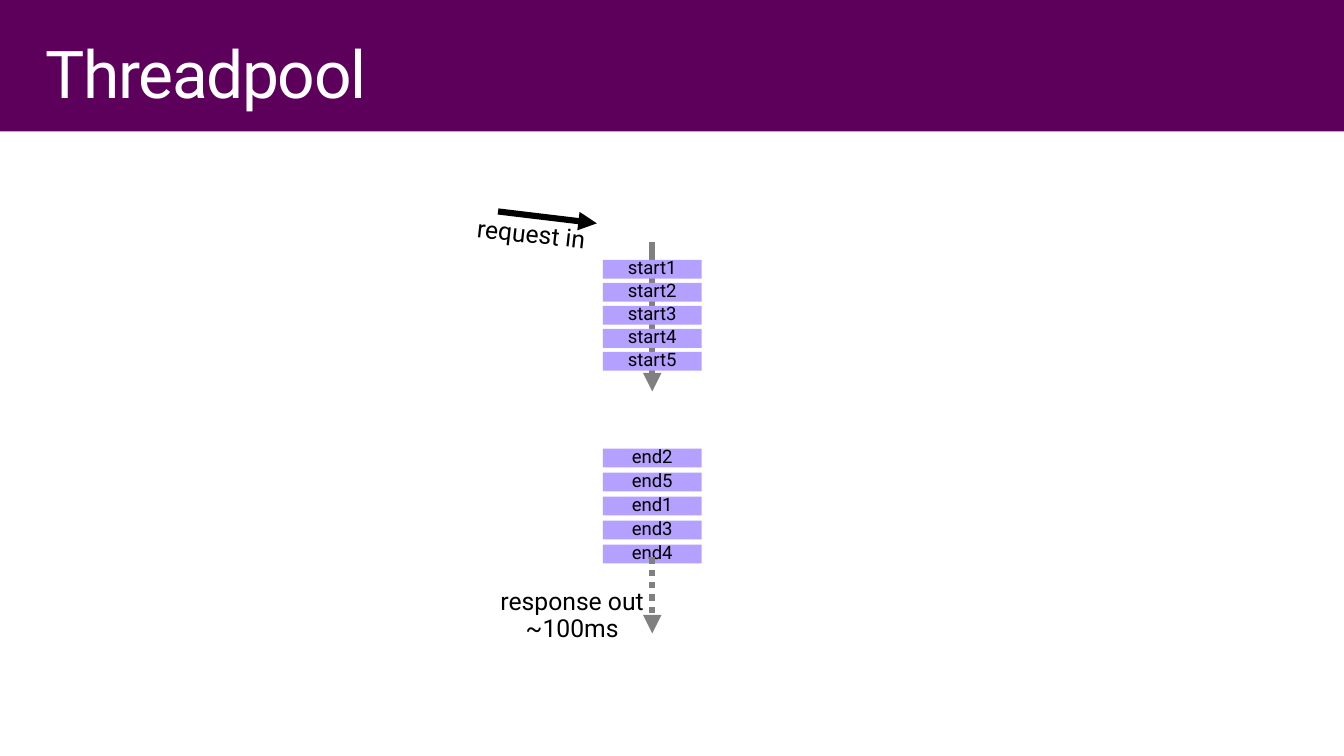
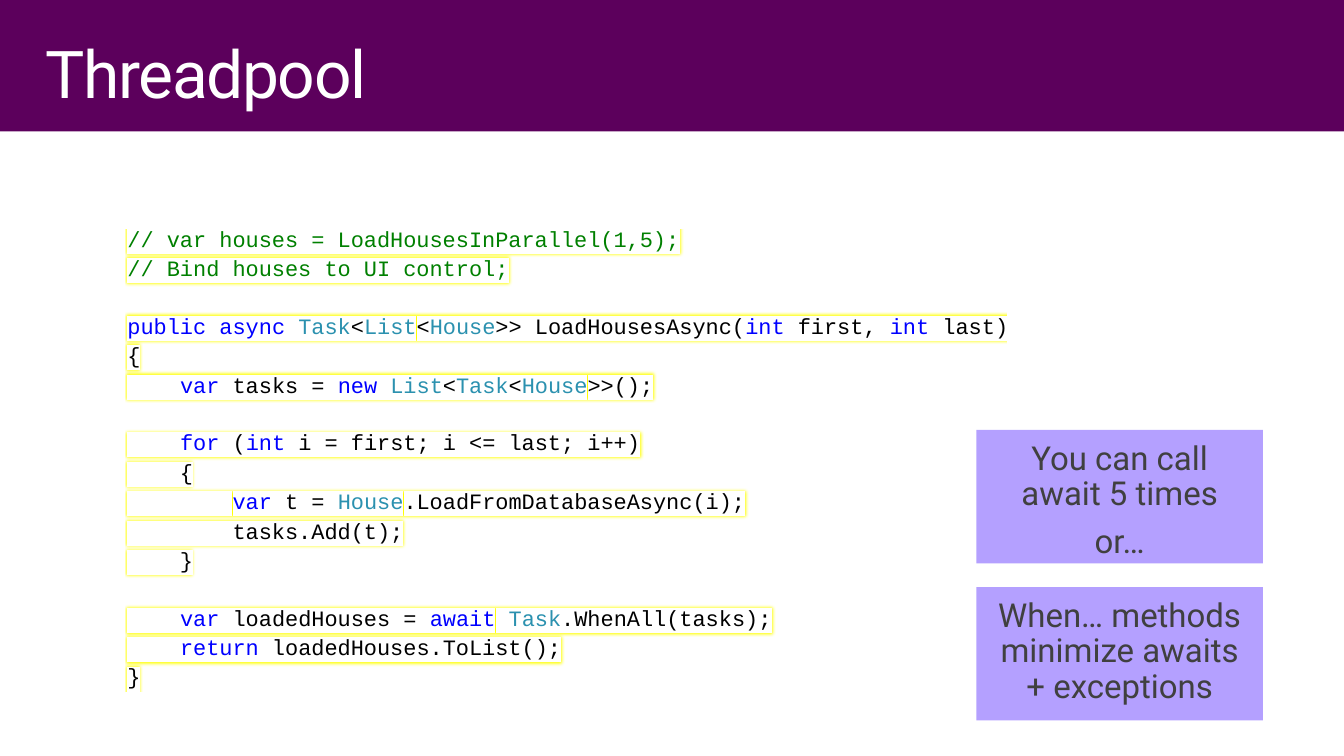
from itertools import groupby

from lxml import etree
from pptx import Presentation
from pptx.dml.color import RGBColor
from pptx.enum.dml import MSO_LINE
from pptx.enum.shapes import MSO_CONNECTOR, MSO_SHAPE
from pptx.enum.text import MSO_ANCHOR, PP_ALIGN
from pptx.oxml import parse_xml
from pptx.oxml.ns import nsdecls, qn
from pptx.util import Inches, Pt

PURPLE, LILAC, WHITE, BLACK = "5C005C", "B4A0FF", "FFFFFF", "000000"
GRAY, DARK_GRAY, YELLOW = "808080", "404040", "FFFF00"
GREEN, BLUE, TEAL = "008000", "0000FF", "2B91AF"


def add_box(slide, area, lines=(), size=18, color=BLACK, fill=None, margins=(0, 0),
            align=PP_ALIGN.CENTER, anchor=MSO_ANCHOR.MIDDLE, wrap=False,
            spacing=0.9, after=4.5):
    """Add a rectangle or, without a fill, a text box; lines become paragraphs."""
    place = [Inches(length) for length in area]
    if fill:
        box = slide.shapes.add_shape(MSO_SHAPE.RECTANGLE, *place)
        box.shadow.inherit = False
        box.fill.solid()
        box.fill.fore_color.rgb = RGBColor.from_string(fill)
        box.line.fill.background()
    else:
        box = slide.shapes.add_textbox(*place)
    frame = box.text_frame
    frame.word_wrap = wrap
    frame.vertical_anchor = anchor
    frame.margin_left = frame.margin_right = Inches(margins[0])
    frame.margin_top = frame.margin_bottom = Inches(margins[1])
    for number, line in enumerate(lines):
        para = frame.add_paragraph() if number else frame.paragraphs[0]
        para.text = line
        para.alignment = align
        para.line_spacing = spacing
        para.space_after = Pt(after)
        for span in para.runs:
            span.font.name = "Roboto"
            span.font.size = Pt(size)
            span.font.color.rgb = RGBColor.from_string(color)
    return box


def add_arrow(slide, start, end, color):
    points = [Inches(length) for length in (*start, *end)]
    arrow = slide.shapes.add_connector(MSO_CONNECTOR.STRAIGHT, *points)
    arrow.line.color.rgb = RGBColor.from_string(color)
    arrow.line.width = Pt(4.5)
    etree.SubElement(arrow.line._get_or_add_ln(), qn("a:tailEnd"), type="triangle")
    etree.SubElement(arrow._element.spPr, qn("a:effectLst"))
    return arrow


deck = Presentation()
deck.slide_width, deck.slide_height = Inches(13.6), Inches(7.65)
background = deck.slide_master.background.fill
background.solid()
background.fore_color.rgb = RGBColor.from_string(PURPLE)

pages = [deck.slides.add_slide(deck.slide_layouts[6]) for _ in range(2)]
for page in pages:
    add_box(page, (0, 1.33, 13.6, 6.32), fill=WHITE)
    title = add_box(page, (0.3, 0.32, 13, 1), ["Threadpool"], 48, WHITE,
                    margins=(0.16, 0.1), align=PP_ALIGN.LEFT,
                    anchor=MSO_ANCHOR.TOP, wrap=True, after=0)
    title.text_frame.paragraphs[0].runs[0].font._element.set("spc", "-100")

# Slide 1: timeline of requests
timeline, code_page = pages
add_arrow(timeline, (6.6, 2.45), (6.6, 3.96), GRAY)
stacks = [
    (2.63, 0.233, ["start1", "start2", "start3", "start4", "start5"]),
    (4.54, 0.2425, ["end2", "end5", "end1", "end3", "end4"]),
]
for top, pitch, labels in stacks:
    for row, label in enumerate(labels):
        add_box(timeline, (6.1, top + row * pitch, 1, 0.19), [label], 13.5,
                fill=LILAC, spacing=0.8)
add_arrow(timeline, (5.04, 2.14), (6.04, 2.26), BLACK)
request = add_box(timeline, (4.8, 2.24, 1.15, 0.28), ["request in"])
request.rotation = 6.3
add_box(timeline, (5.04, 5.98, 1.5, 0.51), ["response out\n~100ms"])
response = add_arrow(timeline, (6.6, 5.64), (6.6, 6.41), GRAY)
response.line.dash_style = MSO_LINE.ROUND_DOT

# Slide 2: code with highlighted words
KEYWORDS = {"public", "async", "int", "var", "new", "for", "await", "return"}
TYPES = {"Task", "List", "House"}
CODE_BLOCKS = [
    """// var houses = LoadHousesInParallel(1,5);
// Bind houses to UI control;""",
    """public async Task<List<House>> LoadHousesAsync(int first, int last)
{
    var tasks = new List<Task<House>>();""",
    """    for (int i = first; i <= last; i++)
    {
        var t = House.LoadFromDatabaseAsync(i);
        tasks.Add(t);
    }""",
    """    var loadedHouses = await Task.WhenAll(tasks);
    return loadedHouses.ToList();
}""",
]
LINE_GAP, BLOCK_GAP = 4.2, 24.7

code = add_box(code_page, (1.13, 2.21, 9.75, 4.84), margins=(0.16, 0.1),
               anchor=MSO_ANCHOR.TOP, wrap=True).text_frame
para = code.paragraphs[0]
for block_number, block in enumerate(CODE_BLOCKS):
    for line_number, line in enumerate(block.splitlines()):
        if block_number or line_number:
            para = code.add_paragraph()
            para.space_before = Pt(LINE_GAP if line_number else BLOCK_GAP)
        para.line_spacing = 0.9
        comment = line.startswith("//")
        words = [line] if comment else ["".join(group) for _, group in groupby(line, str.isalnum)]
        for word in words:
            color = (GREEN if comment else BLUE if word in KEYWORDS
                     else TEAL if word in TYPES else BLACK)
            span = para.add_run()
            span.text = word
            span.font.name = "Courier New"
            span.font.size = Pt(16)
            span.font.color.rgb = RGBColor.from_string(color)
            latin = span.font._element.find(qn("a:latin"))
            latin.addprevious(parse_xml(
                f'<a:effectLst {nsdecls("a")}><a:glow rad="63500">'
                f'<a:srgbClr val="{YELLOW}"/></a:glow></a:effectLst>'))
            latin.addprevious(parse_xml(
                f'<a:highlight {nsdecls("a")}><a:srgbClr val="{WHITE}"/></a:highlight>'))

notes = [
    (4.35, ["You can call await 5 times", "or…"]),
    (5.94, ["When… methods minimize awaits + exceptions"]),
]
for top, lines in notes:
    add_box(code_page, (9.88, top, 2.9, 1.35), lines, 24, DARK_GRAY, LILAC,
            margins=(0.15, 0.12), anchor=MSO_ANCHOR.TOP, wrap=True, after=9)

deck.save("out.pptx")
